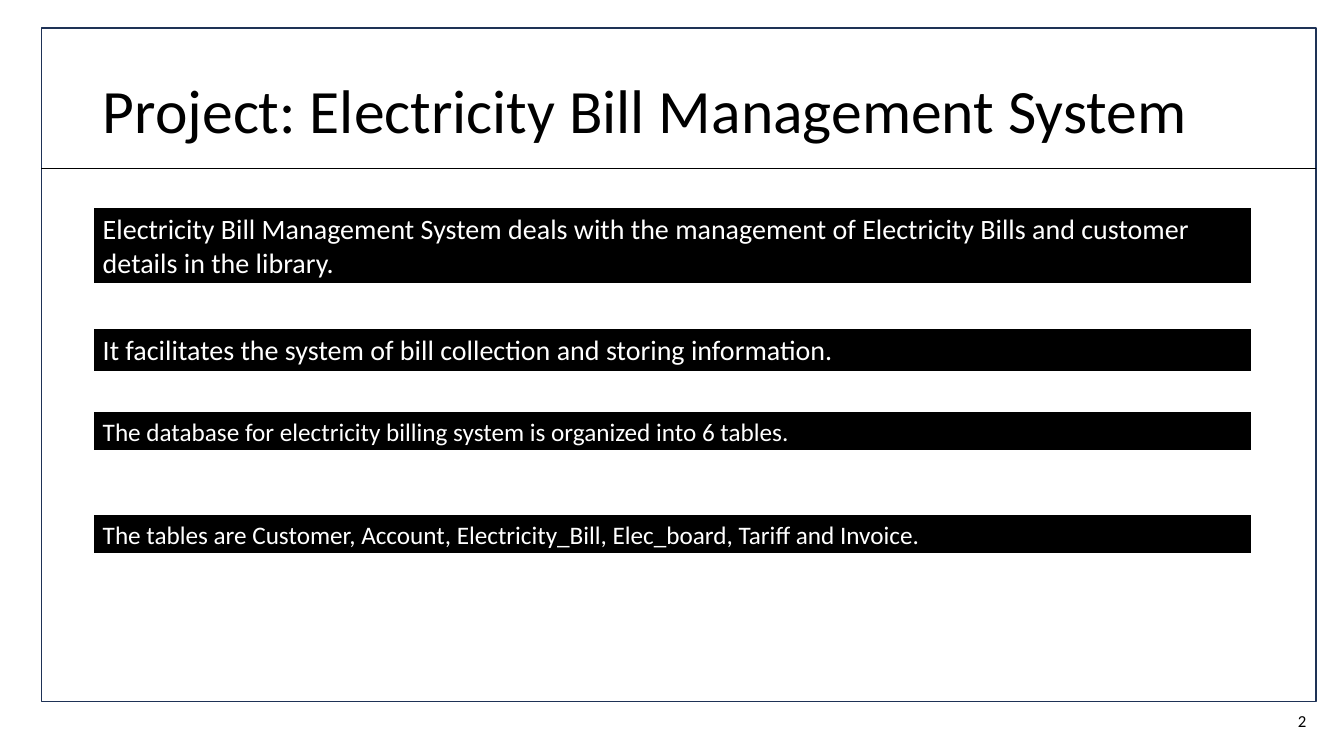
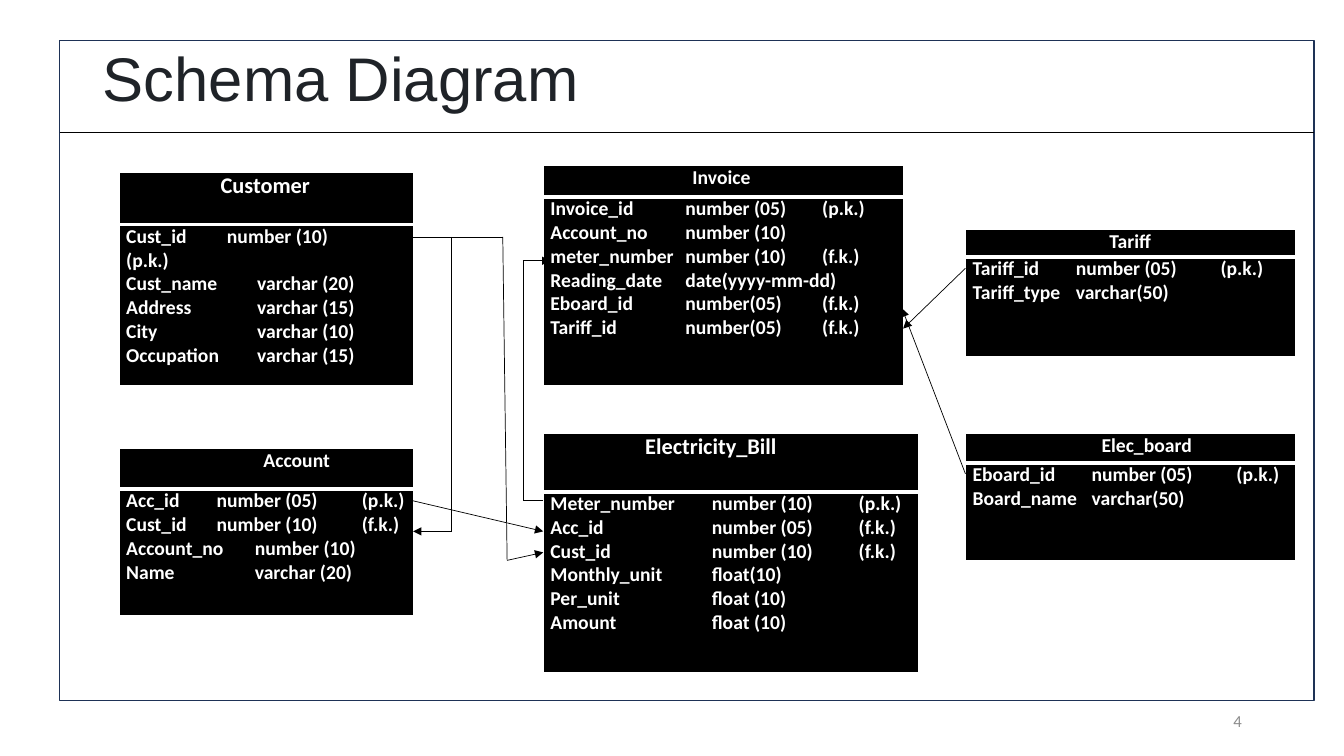
"""Build two slides on an electricity bill management system and its schema."""
from lxml import etree
from pptx import Presentation
from pptx.dml.color import RGBColor
from pptx.enum.shapes import MSO_CONNECTOR, MSO_SHAPE
from pptx.enum.text import MSO_ANCHOR, PP_ALIGN
from pptx.oxml.ns import qn
from pptx.util import Cm, Pt

RECTANGLE = MSO_SHAPE.RECTANGLE
STRAIGHT = MSO_CONNECTOR.STRAIGHT
TOP, MIDDLE = MSO_ANCHOR.TOP, MSO_ANCHOR.MIDDLE
LEFT, RIGHT = PP_ALIGN.LEFT, PP_ALIGN.RIGHT

BLACK = RGBColor(0x00, 0x00, 0x00)
WHITE = RGBColor(0xFF, 0xFF, 0xFF)
NAVY = RGBColor(0x1E, 0x32, 0x56)
CHARCOAL = RGBColor(0x1F, 0x23, 0x28)
GRAY = RGBColor(0x8C, 0x8C, 0x8C)

CONTENT_LEFT, CONTENT_WIDTH = 2.34, 29.21
CELL_MARGIN = 0.18


def write(paragraph, text, size, color, font="Calibri", bold=False, align=LEFT):
    """Add one formatted run to a paragraph."""
    paragraph.alignment = align
    run = paragraph.add_run()
    run.text = text
    run.font.name, run.font.size, run.font.bold = font, Pt(size), bold
    run.font.color.rgb = color


def draw_line(slide, start, end, arrow=False):
    """Draw a thin black line, with an arrowhead at its end if asked."""
    line = slide.shapes.add_connector(
        STRAIGHT, *(Cm(value) for value in (*start, *end)))
    line.line.color.rgb = BLACK
    line.line.width = Pt(0.5)
    etree.SubElement(line._element.spPr, qn("a:effectLst"))
    if arrow:
        etree.SubElement(line.line._get_or_add_ln(), qn("a:tailEnd"), type="triangle")


presentation = Presentation()
presentation.slide_width = Cm(33.87)
presentation.slide_height = Cm(19.05)

PAGES = [
    dict(title="Project: Electricity Bill Management System", font="Calibri",
         color=BLACK, title_top=1.02, frame=(1.04, 0.71, 32.13, 16.97),
         divider=4.24, number="2", number_right=33.17, number_color=BLACK),
    dict(title="Schema Diagram", font="Arial",
         color=CHARCOAL, title_top=0.22, frame=(1.5, 1.02, 31.62, 16.64),
         divider=3.33, number="4", number_right=31.55, number_color=GRAY),
]
slides = []
for page in PAGES:
    slide = presentation.slides.add_slide(presentation.slide_layouts[5])
    slides.append(slide)
    title = slide.shapes.title
    title.left, title.top = Cm(CONTENT_LEFT), Cm(page["title_top"])
    title.width, title.height = Cm(CONTENT_WIDTH), Cm(3.68)
    title.text_frame.vertical_anchor = MIDDLE
    paragraph = title.text_frame.paragraphs[0]
    paragraph.line_spacing = 0.9
    write(paragraph, page["title"], 44, page["color"], page["font"])

    left, top, width, height = page["frame"]
    frame = slide.shapes.add_shape(RECTANGLE, Cm(left), Cm(top), Cm(width), Cm(height))
    frame.shadow.inherit = False
    frame.fill.background()
    frame.line.color.rgb = NAVY
    frame.line.width = Pt(1)
    draw_line(slide, (left, page["divider"]), (left + width, page["divider"]))

    number = slide.shapes.add_textbox(
        Cm(page["number_right"] - 3.63), Cm(17.65), Cm(3.63), Cm(1.02))
    number.text_frame.word_wrap = True
    number.text_frame.vertical_anchor = MIDDLE
    write(number.text_frame.paragraphs[0], page["number"], 12,
          page["number_color"], align=RIGHT)

overview, schema = slides

STATEMENTS = [
    (5.21, 1.96, 20, "Electricity Bill Management System deals with the management "
                     "of Electricity Bills and customer details in the library."),
    (8.26, 1.12, 20, "It facilitates the system of bill collection and storing information."),
    (10.36, 1.02, 18, "The database for electricity billing system is organized into 6 tables."),
    (12.95, 1.02, 18, "The tables are Customer, Account, Electricity_Bill, Elec_board, "
                      "Tariff and Invoice."),
]
for top, height, size, text in STATEMENTS:
    bar = overview.shapes.add_shape(
        RECTANGLE, Cm(CONTENT_LEFT), Cm(top), Cm(CONTENT_WIDTH), Cm(height))
    bar.shadow.inherit = False
    bar.fill.solid()
    bar.fill.fore_color.rgb = BLACK
    bar.line.color.rgb = WHITE
    bar.line.width = Pt(1.5)
    bar.text_frame.word_wrap = True
    bar.text_frame.vertical_anchor = TOP
    write(bar.text_frame.paragraphs[0], text, size, WHITE)

ENTITIES = [
    dict(name="Customer", size=16, indent=2.38, place=(3, 4.34, 7.42),
         rows=(1.32, 4.06), stops=(2.54, 3.3),
         fields=["Cust_id\tnumber (10)\n(p.k.)", "Cust_name\t\tvarchar (20)",
                 "Address\t\tvarchar (15)", "City\t\tvarchar (10)",
                 "Occupation\t\tvarchar (15)"]),
    dict(name="Account", size=14, indent=3.46, place=(3, 11.3, 7.42),
         rows=(1.02, 3.2), stops=(2.28, 3.24, 5.94),
         fields=["Acc_id\tnumber (05)\t(p.k.)", "Cust_id\tnumber (10)\t(f.k.)",
                 "Account_no\tnumber (10)", "Name\t\tvarchar (20)"]),
    dict(name="Invoice", size=14, indent=3.58, place=(13.69, 4.17, 9.07),
         rows=(0.79, 4.75), stops=(3.4, 6.85),
         fields=["Invoice_id\tnumber (05)\t(p.k.)", "Account_no\tnumber (10)",
                 "meter_number\tnumber (10)\t(f.k.)", "Reading_date\tdate(yyyy-mm-dd)",
                 "Eboard_id\tnumber(05)\t(f.k.)", "Tariff_id\tnumber(05)\t(f.k.)"]),
    dict(name="Electricity_Bill", size=16, indent=2.39, place=(13.69, 10.92, 9.45),
         rows=(1.47, 4.57), stops=(4.07, 7.77),
         fields=["Meter_number\tnumber (10)\t(p.k.)", "Acc_id\tnumber (05)\t(f.k.)",
                 "Cust_id\tnumber (10)\t(f.k.)", "Monthly_unit\tfloat(10)",
                 "Per_unit\tfloat (10)", "Amount\tfloat (10)"]),
    dict(name="Tariff", size=14, indent=3.45, place=(24.33, 5.79, 8.33),
         rows=(0.69, 2.51), stops=(2.6, 6.25),
         fields=["Tariff_id\tnumber (05)\t(p.k.)", "Tariff_type\tvarchar(50)"]),
    dict(name="Elec_board", size=14, indent=3.25, place=(24.33, 10.92, 8.33),
         rows=(0.74, 2.46), stops=(3, 6.65),
         fields=["Eboard_id\tnumber (05)\t(p.k.)", "Board_name\tvarchar(50)"]),
]
BORDERS = [
    {"a:lnL": 1, "a:lnR": 1, "a:lnT": 1, "a:lnB": 3},
    {"a:lnL": 1, "a:lnR": 1, "a:lnT": 3, "a:lnB": 1},
]
for entity in ENTITIES:
    left, top, width = entity["place"]
    table = schema.shapes.add_table(
        2, 1, Cm(left), Cm(top), Cm(width), Cm(sum(entity["rows"]))).table
    table.first_row = table.horz_banding = False
    for row, height, borders in zip(table.rows, entity["rows"], BORDERS):
        row.height = Cm(height)
        cell = row.cells[0]
        cell.fill.solid()
        cell.fill.fore_color.rgb = BLACK
        cell.margin_left = cell.margin_right = Cm(CELL_MARGIN)
        cell.margin_top = cell.margin_bottom = 0
        properties = cell._tc.get_or_add_tcPr()
        for position, (side, points) in enumerate(borders.items()):
            border = etree.Element(qn(side), w=str(Pt(points)))
            fill = etree.SubElement(border, qn("a:solidFill"))
            etree.SubElement(fill, qn("a:srgbClr"), val=str(WHITE))
            properties.insert(position, border)

    heading, body = table.cell(0, 0), table.cell(1, 0)
    heading.margin_left = Cm(CELL_MARGIN + entity["indent"])
    write(heading.text_frame.paragraphs[0], entity["name"], entity["size"], WHITE, bold=True)
    for index, field in enumerate(entity["fields"]):
        frame = body.text_frame
        paragraph = frame.add_paragraph() if index else frame.paragraphs[0]
        for part_index, part in enumerate(field.split("\n")):
            if part_index:
                paragraph.add_line_break()
            write(paragraph, part, 14, WHITE, bold=True)
        tabs = etree.SubElement(paragraph._p.get_or_add_pPr(), qn("a:tabLst"))
        for stop in entity["stops"]:
            etree.SubElement(tabs, qn("a:tab"), pos=str(Cm(stop)), algn="l")

RELATIONS = [
    [(10.41, 5.97), (11.38, 5.97), (11.38, 13.39), (10.41, 13.39)],
    [(11.38, 5.97), (12.67, 5.97), (12.78, 14.12), (13.69, 13.92)],
    [(10.41, 12.62), (13.69, 13.39)],
    [(24.33, 6.76), (22.76, 8.28)],
    [(24.33, 11.94), (22.73, 7.77)],
    [(13.69, 12.62), (13.18, 12.62), (13.18, 6.57), (13.87, 6.57)],
]
for points in RELATIONS:
    for start, end in zip(points, points[1:]):
        draw_line(schema, start, end, arrow=end == points[-1])

presentation.save("out.pptx")
